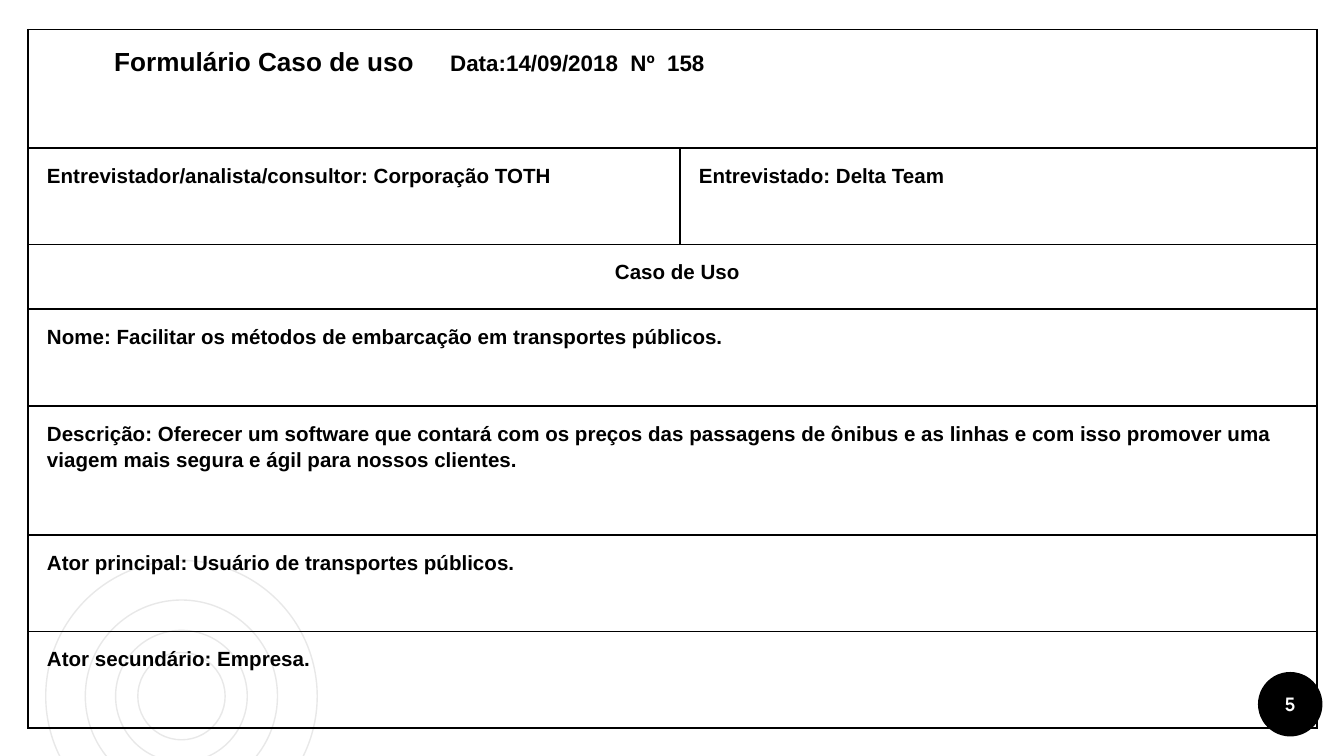
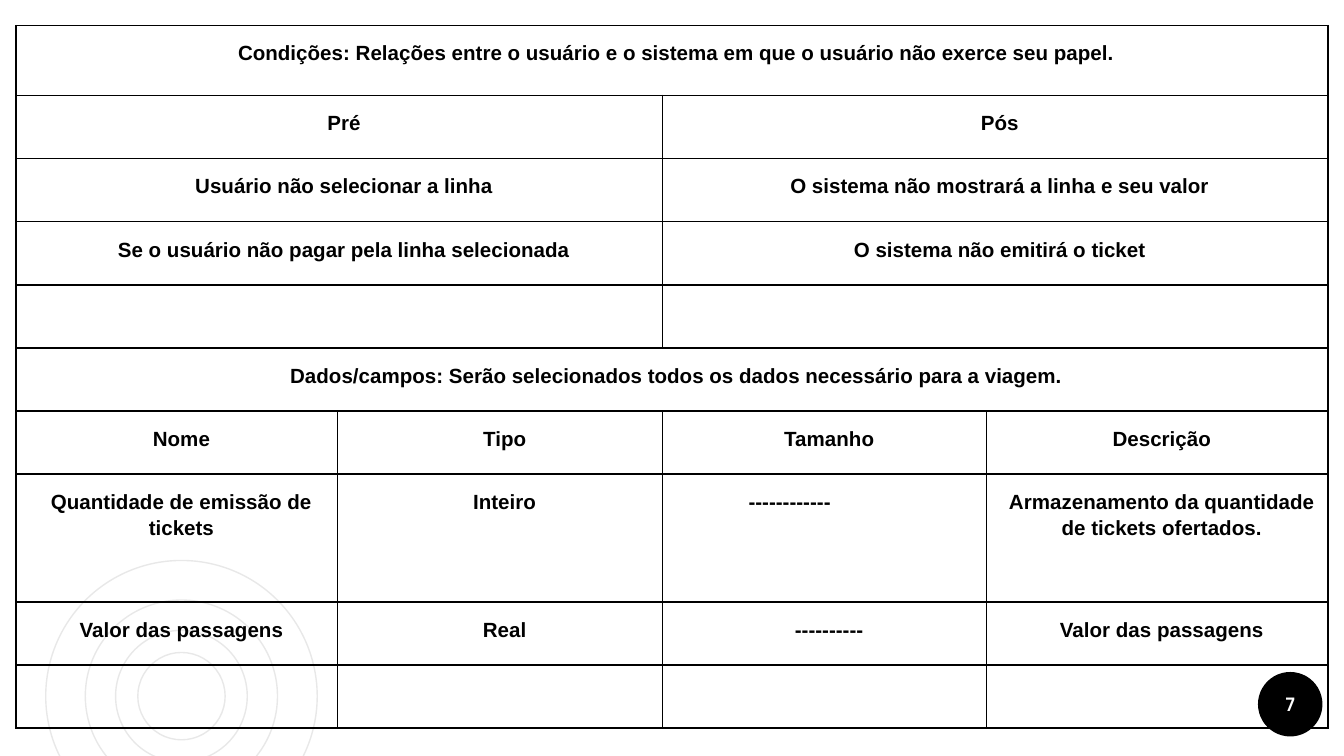
"""Build two use-case form slides with shared rings and page badge."""
from dataclasses import dataclass

import lxml.etree
import pptx
import pptx.dml.color
import pptx.enum.shapes
import pptx.enum.text
import pptx.oxml.ns
import pptx.presentation
import pptx.shapes.autoshape
import pptx.slide
import pptx.table
import pptx.text.text
import pptx.util

BLACK = pptx.dml.color.RGBColor(0x00, 0x00, 0x00)
WHITE = pptx.dml.color.RGBColor(0xFF, 0xFF, 0xFF)
GREY = pptx.dml.color.RGBColor(0xE8, 0xE8, 0xE8)
FONT = "Arial"
PAGE_FONT = "Manrope"
WIDE = pptx.util.Inches(10)
TALL = pptx.util.Inches(5.625)
GRID = WIDE // 100
SIZE = 11
DATE_SIZE = 12
LEFT = pptx.enum.text.PP_ALIGN.LEFT
MID = pptx.enum.text.PP_ALIGN.CENTER
FULL = pptx.enum.text.PP_ALIGN.JUSTIFY


@dataclass(frozen=True)
class Disc:
    """A circle by centre and width, in grid units."""
    x: float
    y: float
    width: float


@dataclass(frozen=True)
class Box:
    """The text of one cell, with its span, tab stops and closing run."""
    text: str = ""
    span: int = 1
    align: pptx.enum.text.PP_ALIGN = MID
    stops: tuple[float, ...] = ()
    size: int = SIZE
    tail: str = ""


@dataclass(frozen=True)
class Form:
    """A page number and its table, in grid units."""
    page: int
    left: float
    top: float
    cols: tuple[float, ...]
    rows: tuple[float, ...]
    cells: tuple[tuple[Box, ...], ...]


RINGS = tuple(Disc(13.5, 51.8, width) for width in (20.2, 14.3, 9.8, 6.5))
BADGE = Disc(96, 52.4, 4.8)

CASE = Form(
    5, 2.1, 2.2, (48.5, 47.4), (8.8, 7.2, 4.8, 7.2, 9.6, 7.2, 7.2),
    (
        (Box("\tFormulário Caso de uso\t", 2, FULL, (32.4, 60), 14,
             "Data:14/09/2018  Nº  158"),),
        (Box("Entrevistador/analista/consultor: Corporação TOTH", align=FULL),
         Box("Entrevistado: Delta Team", align=FULL)),
        (Box("Caso de Uso", 2),),
        *((Box(text, 2, LEFT),) for text in (
            "Nome: Facilitar os métodos de embarcação em transportes públicos.",
            "Descrição: Oferecer um software que contará com os preços das "
            "passagens de ônibus e as linhas e com isso promover uma viagem "
            "mais segura e ágil para nossos clientes.",
            "Ator principal: Usuário de transportes públicos.",
            "Ator secundário: Empresa.",
        )),
    ),
)

TERMS = Form(
    7, 1.2, 1.9, (23.9, 24.2, 24.1, 25.4),
    (5.2, *(4.7,) * 6, 9.5, 4.7, 4.7),
    (
        (Box("Condições: Relações entre o usuário e o sistema em que o "
             "usuário não exerce seu papel.", 4),),
        *((Box(pre, 2), Box(post, 2)) for pre, post in (
            ("Pré", "Pós"),
            ("Usuário não selecionar a linha",
             "O sistema não mostrará a linha e seu valor"),
            ("Se o usuário não pagar pela linha selecionada",
             "O sistema não emitirá o ticket"),
            ("", ""),
        )),
        (Box("Dados/campos: Serão selecionados todos os dados necessário "
             "para a viagem.", 4),),
        tuple(map(Box, ("Nome", "Tipo", "Tamanho", "Descrição"))),
        (Box("Quantidade de emissão de tickets"), Box("Inteiro"),
         Box("\t------------", align=LEFT, stops=(10,)),
         Box("Armazenamento da quantidade de tickets ofertados.")),
        tuple(map(Box, ("Valor das passagens", "Real", "----------",
                        "Valor das passagens"))),
        (Box(),) * 4,
    ),
)


def cast(units: float) -> pptx.util.Emu:
    """Turn grid units into a length."""
    return pptx.util.Emu(round(units * GRID))


def add(parent: lxml.etree._Element, tag: str, **attrs: str) -> lxml.etree._Element:
    """Append a drawing element to its parent."""
    return lxml.etree.SubElement(parent, pptx.oxml.ns.qn(tag), attrs)


def style(line: pptx.text.text._Paragraph, name: str, size: int,
          ink: pptx.dml.color.RGBColor) -> None:
    """Set the bold font of a paragraph."""
    line.font.name = name
    line.font.size = pptx.util.Pt(size)
    line.font.bold = True
    line.font.color.rgb = ink


def draw_disc(slide: pptx.slide.Slide, disc: Disc) -> pptx.shapes.autoshape.Shape:
    """Draw a bare circle around its centre."""
    shape = slide.shapes.add_shape(
        pptx.enum.shapes.MSO_SHAPE.OVAL,
        cast(disc.x - disc.width / 2), cast(disc.y - disc.width / 2),
        cast(disc.width), cast(disc.width))
    shape.shadow.inherit = False
    return shape


def draw_base(slide: pptx.slide.Slide, page: int) -> None:
    """Draw the rings and the page badge."""
    for ring in RINGS:
        shape = draw_disc(slide, ring)
        shape.fill.background()
        shape.line.color.rgb = GREY
        shape.line.width = pptx.util.Pt(0.75)
    badge = draw_disc(slide, BADGE)
    badge.fill.solid()
    badge.fill.fore_color.rgb = BLACK
    badge.line.fill.background()
    frame = badge.text_frame
    frame.margin_left = frame.margin_right = 0
    frame.margin_top = frame.margin_bottom = 0
    frame.vertical_anchor = pptx.enum.text.MSO_ANCHOR.MIDDLE
    frame.text = str(page)
    line = frame.paragraphs[0]
    line.alignment = MID
    style(line, PAGE_FONT, 10, WHITE)


def frame_cell(cell: pptx.table._Cell) -> None:
    """Give a cell black edges, no fill and its margins."""
    cell.margin_left = cell.margin_right = cast(0.7)
    cell.margin_top = cell.margin_bottom = cast(1)
    props = cell._tc.get_or_add_tcPr()
    for side in "LRTB":
        edge = add(props, f"a:ln{side}", w=str(pptx.util.Pt(1)))
        add(add(edge, "a:solidFill"), "a:srgbClr", val=str(BLACK))
    cell.fill.background()


def fill_cell(cell: pptx.table._Cell, box: Box) -> None:
    """Write the text of a box into a cell."""
    line = cell.text_frame.paragraphs[0]
    line.alignment = box.align
    line.line_spacing = 1.15
    props = line._p.get_or_add_pPr()
    props.set("marL", str(cast(0.7)))
    props.set("indent", "0")
    if box.stops:
        tabs = add(props, "a:tabLst")
        for stop in box.stops:
            add(tabs, "a:tab", pos=str(cast(stop)), algn="l")
    style(line, FONT, box.size, BLACK)
    if box.text:
        line.add_run().text = box.text
    if box.tail:
        tail = line.add_run()
        tail.text = box.tail
        tail.font.size = pptx.util.Pt(DATE_SIZE)


def draw_form(deck: pptx.presentation.Presentation, form: Form) -> None:
    """Add a slide with the base and the table of a form."""
    slide = deck.slides.add_slide(deck.slide_layouts[6])
    draw_base(slide, form.page)
    table = slide.shapes.add_table(
        len(form.rows), len(form.cols), cast(form.left), cast(form.top),
        cast(sum(form.cols)), cast(sum(form.rows))).table
    table.first_row = table.horz_banding = False
    for col, width in zip(table.columns, form.cols):
        col.width = cast(width)
    for row, height in zip(table.rows, form.rows):
        row.height = cast(height)
    for cell in table.iter_cells():
        frame_cell(cell)
    for row, boxes in enumerate(form.cells):
        col = 0
        for box in boxes:
            cell = table.cell(row, col)
            if box.span > 1:
                cell.merge(table.cell(row, col + box.span - 1))
            fill_cell(cell, box)
            col += box.span


def main() -> None:
    """Build and save the deck."""
    deck = pptx.Presentation()
    deck.slide_width, deck.slide_height = WIDE, TALL
    for form in (CASE, TERMS):
        draw_form(deck, form)
    deck.save("out.pptx")


if __name__ == "__main__":
    main()
